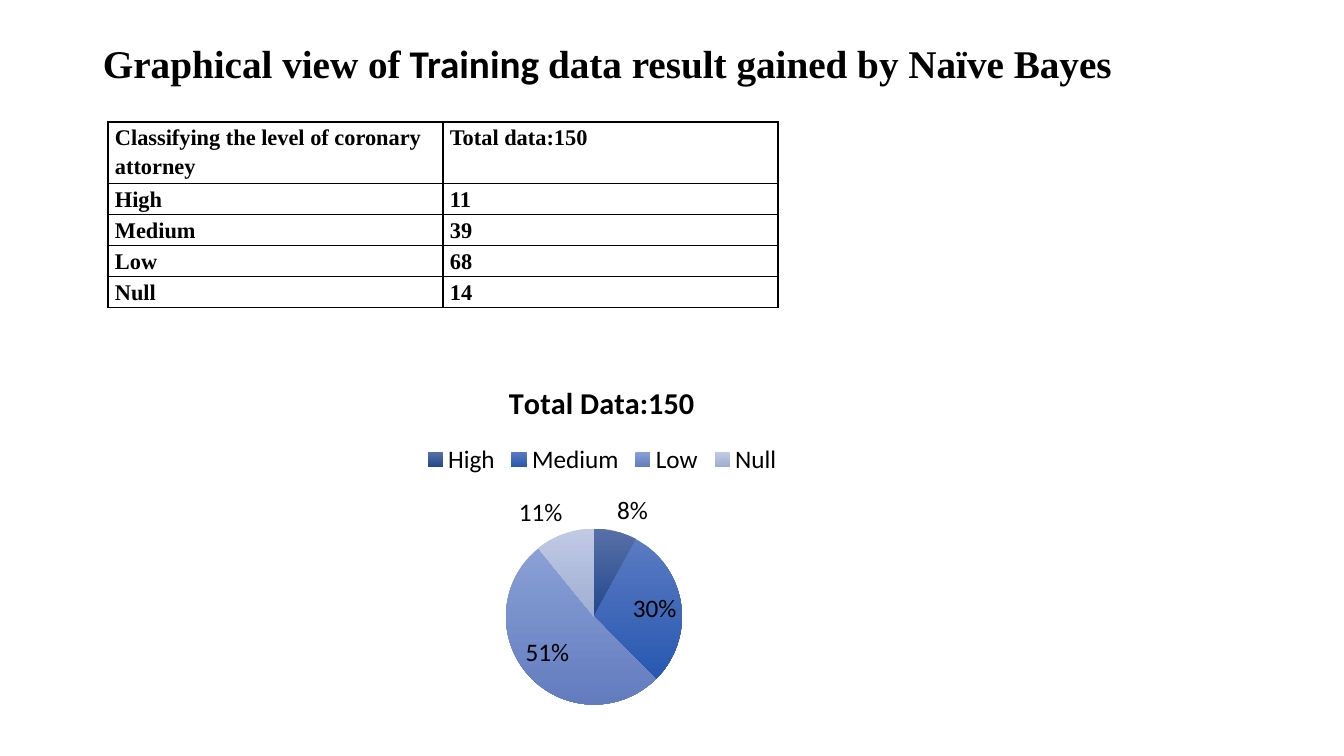
from lxml.etree import SubElement
from pptx import Presentation
from pptx.chart.data import CategoryChartData
from pptx.dml.color import RGBColor
from pptx.enum.chart import XL_CHART_TYPE as ChartType
from pptx.enum.chart import XL_LABEL_POSITION as LabelPosition
from pptx.enum.chart import XL_LEGEND_POSITION as LegendPosition
from pptx.oxml import parse_xml
from pptx.oxml.ns import nsdecls, qn
from pptx.util import Emu, Pt

EMU_PER_PX = 914400 / 100.8
BLACK = RGBColor(0x00, 0x00, 0x00)
SERIF = "Times New Roman"
SANS = "Calibri"

HEADING = [
    ("Graphical view of", SERIF),
    (" Training ", SANS),
    ("data result gained by Naïve Bayes", SERIF),
]
TABLE_ROWS = [
    ("Classifying the level of coronary attorney", "Total data:150"),
    ("High", "11"),
    ("Medium", "39"),
    ("Low", "68"),
    ("Null", "14"),
]
# Level, charted value, top and bottom colour of the slice
SLICES = [
    ("High", 8, RGBColor(0x58, 0x70, 0xA8), RGBColor(0x22, 0x48, 0x8A)),
    ("Medium", 30, RGBColor(0x5A, 0x7A, 0xC2), RGBColor(0x28, 0x58, 0xB0)),
    ("Low", 52, RGBColor(0x8A, 0xA0, 0xD6), RGBColor(0x62, 0x7C, 0xBE)),
    ("Null", 11, RGBColor(0xC0, 0xCA, 0xE4), RGBColor(0xA0, 0xAE, 0xD4)),
]


def px(length):
    return Emu(round(length * EMU_PER_PX))


def place(left, top, width, height):
    return px(left), px(top), px(width), px(height)


def style_font(font, size, name=None, bold=False):
    font.size = Pt(size)
    font.bold = bold
    font.color.rgb = BLACK
    if name:
        font.name = name


def add_heading(page):
    box = page.shapes.add_textbox(*place(93, 40, 1159, 146))
    box.text_frame.word_wrap = True
    para = box.text_frame.paragraphs[0]
    para.line_spacing = 0.9
    style_font(para.font, 28, bold=True)
    for text, name in HEADING:
        span = para.add_run()
        span.text = text
        span.font.name = name


def add_borders(cell):
    """Draw a thin black line on all four sides of a cell."""
    properties = cell._tc.get_or_add_tcPr()
    for side in ("a:lnL", "a:lnR", "a:lnT", "a:lnB"):
        line = SubElement(properties, qn(side), w=str(Pt(1)))
        fill = SubElement(line, qn("a:solidFill"))
        SubElement(fill, qn("a:srgbClr"), val=str(BLACK))


def fill_cell(cell, text):
    cell.margin_left = cell.margin_right = px(7)
    cell.margin_top = cell.margin_bottom = 0
    add_borders(cell)
    cell.fill.background()
    cell.text = text
    para = cell.text_frame.paragraphs[0]
    para.line_spacing = 1.15
    style_font(para.font, 16, SERIF, bold=True)


def add_level_table(page):
    frame = page.shapes.add_table(len(TABLE_ROWS), 2, *place(108, 122, 670, 177))
    table = frame.table
    table.first_row = table.horz_banding = False
    for column in table.columns:
        column.width = px(335)
    for index, texts in enumerate(TABLE_ROWS):
        table.rows[index].height = px(29 if index else 61)
        for cell, text in zip(table.rows[index].cells, texts):
            fill_cell(cell, text)


def set_plot_layout(chart, x, y, w, h):
    """Fix the pie's place, in fractions of the chart's size."""
    plot_area = chart._chartSpace.chart.plotArea
    for old in plot_area.findall(qn("c:layout")):
        plot_area.remove(old)
    plot_area.insert(0, parse_xml(
        f'<c:layout {nsdecls("c")}><c:manualLayout>'
        '<c:layoutTarget val="inner"/>'
        '<c:xMode val="edge"/><c:yMode val="edge"/>'
        f'<c:x val="{x}"/><c:y val="{y}"/><c:w val="{w}"/><c:h val="{h}"/>'
        '</c:manualLayout></c:layout>'
    ))


def color_slices(series):
    for index, (_, _, top, bottom) in enumerate(SLICES):
        fill = series.points[index].format.fill
        fill.gradient()
        fill.gradient_angle = 270
        for stop, color in zip(fill.gradient_stops, (top, bottom)):
            stop.color.rgb = color


def add_level_pie(page):
    data = CategoryChartData()
    data.categories = [level for level, *_ in SLICES]
    data.add_series("Series 1", [value for _, value, *_ in SLICES])
    frame = page.shapes.add_chart(ChartType.PIE, *place(202, 363, 800, 373), data)
    chart = frame.chart
    style_font(chart.font, 18, SANS)

    chart.has_title = True
    title = chart.chart_title.text_frame
    title.text = "Total Data:150"
    style_font(title.paragraphs[0].font, 21.6, SANS, bold=True)

    chart.has_legend = True
    chart.legend.position = LegendPosition.TOP
    chart.legend.include_in_layout = False

    plot = chart.plots[0]
    plot.vary_by_categories = True
    plot.has_data_labels = True
    labels = plot.data_labels
    labels.show_percentage = True
    labels.show_value = False
    labels.number_format = "0%"
    labels.number_format_is_linked = False
    labels.position = LabelPosition.BEST_FIT
    style_font(labels.font, 18, SANS)
    color_slices(plot.series[0])
    set_plot_layout(chart, 0.38, 0.44, 0.22, 0.48)


def main():
    deck = Presentation()
    deck.slide_width, deck.slide_height = px(1344), px(756)
    page = deck.slides.add_slide(deck.slide_layouts[6])
    add_heading(page)
    add_level_pie(page)
    add_level_table(page)
    deck.save("out.pptx")


if __name__ == "__main__":
    main()
